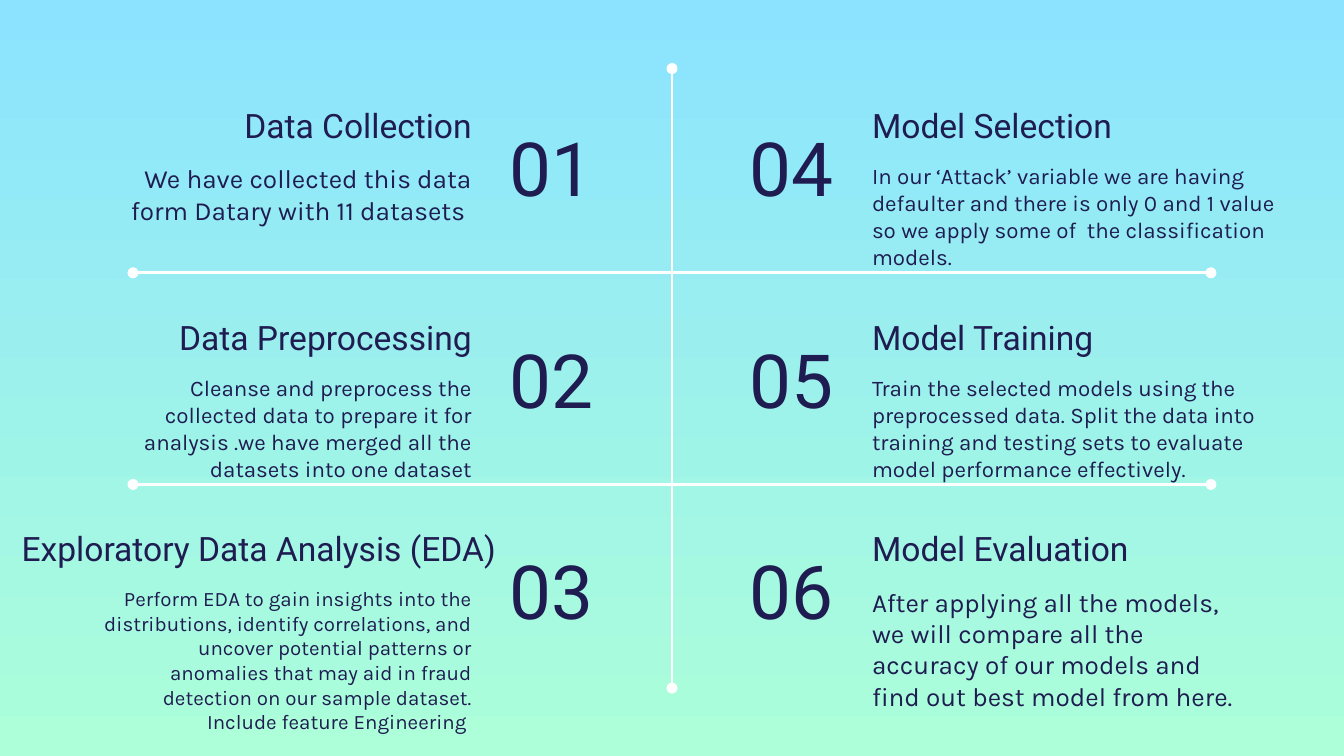
from lxml import etree
from pptx import Presentation
from pptx.dml.color import RGBColor
from pptx.enum.shapes import MSO_CONNECTOR
from pptx.enum.text import MSO_ANCHOR, MSO_AUTO_SIZE, PP_ALIGN
from pptx.oxml.ns import qn
from pptx.util import Inches, Pt

LEFT, RIGHT = PP_ALIGN.LEFT, PP_ALIGN.RIGHT
TOP, MIDDLE, BOTTOM = MSO_ANCHOR.TOP, MSO_ANCHOR.MIDDLE, MSO_ANCHOR.BOTTOM
STRAIGHT = MSO_CONNECTOR.STRAIGHT

COLORS = {"sky": "8BE3FF", "mint": "ACFFD9", "ink": "1F1C51", "line": "FFFFFF"}
HEADING_FONT, BODY_FONT = "Roboto", "Karla"

# Content: heading, (heading left, width), description, size, (width, height)
LEFT_STEPS = [
    ("Data Collection", (0.63, 2.98),
     "We have collected this data form Datary with 11 datasets ",
     14, (2.98, 0.69)),
    ("Data Preprocessing", (0.63, 2.98),
     "Cleanse and preprocess the collected data to prepare it for analysis "
     ".we have merged all the datasets into one dataset",
     12, (2.98, 0.86)),
    ("Exploratory Data Analysis (EDA)", (0, 3.79),
     "Perform EDA to gain insights into the distributions, identify "
     "correlations, and uncover potential patterns or anomalies that may aid "
     "in fraud detection on our sample dataset. Include feature Engineering ",
     11, (2.98, 1.14)),
]
RIGHT_STEPS = [
    ("Model Selection", (6.39, 2.98),
     "In our ‘Attack’ variable we are having defaulter and there is only 0 "
     "and 1 value so we apply some of  the classification models.",
     12, (3.37, 0.86)),
    ("Model Training", (6.39, 2.98),
     "Train the selected models using the preprocessed data. Split the data "
     "into training and testing sets to evaluate model performance "
     "effectively.",
     12, (3.29, 0.92)),
    ("Model Evaluation", (6.39, 2.98),
     "After applying all the models, we will compare all the accuracy of our "
     "models and find out best model from here.",
     14, (2.98, 1.14)),
]
# Steps, number left, number alignment, description left, text alignment
COLUMNS = [
    (LEFT_STEPS, 3.69, LEFT, 0.63, RIGHT),
    (RIGHT_STEPS, 5, RIGHT, 6.39, LEFT),
]
ROW_PITCH = 3.15 / 2
HEADING_TOP, NUMBER_TOP, BODY_TOP = 0.68, 0.81, 1.11
DIVIDERS = [
    (5, 0.51, 5, 5.12),
    (0.99, 2.03, 9.01, 2.03),
    (0.99, 2.03 + ROW_PITCH, 9.01, 2.03 + ROW_PITCH),
]


def color(name):
    return RGBColor.from_string(COLORS[name])


def write_text(shape, box, text, font, size, alignment, anchor):
    shape.left, shape.top, shape.width, shape.height = map(Inches, box)
    frame = shape.text_frame
    frame.auto_size = MSO_AUTO_SIZE.NONE
    frame.word_wrap = True
    frame.vertical_anchor = anchor
    frame.margin_left = frame.margin_right = Inches(0.1)
    frame.margin_top = frame.margin_bottom = Inches(0.1)
    paragraph = frame.paragraphs[0]
    paragraph.alignment = alignment
    run = paragraph.add_run()
    run.text = text
    run.font.name = font
    run.font.size = Pt(size)
    run.font.color.rgb = color("ink")


def add_text(slide, *details):
    write_text(slide.shapes.add_textbox(0, 0, 0, 0), *details)


def add_divider(slide, ends):
    connector = slide.shapes.add_connector(STRAIGHT, *map(Inches, ends))
    connector.line.color.rgb = color("line")
    connector.line.width = Pt(1.5)
    line = connector.line._get_or_add_ln()
    for end in ("a:headEnd", "a:tailEnd"):
        etree.SubElement(line, qn(end), type="oval")
    etree.SubElement(connector._element.spPr, qn("a:effectLst"))


def main():
    # Widescreen slide, 16 to 9
    presentation = Presentation()
    presentation.slide_width = Inches(10)
    presentation.slide_height = Inches(10 * 9 / 16)
    slide = presentation.slides.add_slide(presentation.slide_layouts[5])

    # Background running from sky at the top to mint at the bottom
    fill = slide.background.fill
    fill.gradient()
    fill.gradient_angle = 270
    for stop, name, position in zip(fill.gradient_stops, ("sky", "mint"), (0, 1)):
        stop.color.rgb = color(name)
        stop.position = position

    # Dividing lines
    for ends in DIVIDERS:
        add_divider(slide, ends)

    # Steps, numbered down each column; the first number is the slide title
    number = 0
    for steps, number_left, number_alignment, body_left, alignment in COLUMNS:
        for row, (heading, (left, width), body, size, body_size) in enumerate(steps):
            number += 1
            offset = row * ROW_PITCH
            shape = (slide.shapes.title if number == 1
                     else slide.shapes.add_textbox(0, 0, 0, 0))
            write_text(shape, (number_left, NUMBER_TOP + offset, 1.3, 0.86),
                       f"{number:02}", HEADING_FONT, 40, number_alignment, MIDDLE)
            add_text(slide, (left, HEADING_TOP + offset, width, 0.5),
                     heading, HEADING_FONT, 18, alignment, BOTTOM)
            add_text(slide, (body_left, BODY_TOP + offset, *body_size),
                     body, BODY_FONT, size, alignment, TOP)

    presentation.save("out.pptx")


if __name__ == "__main__":
    main()
